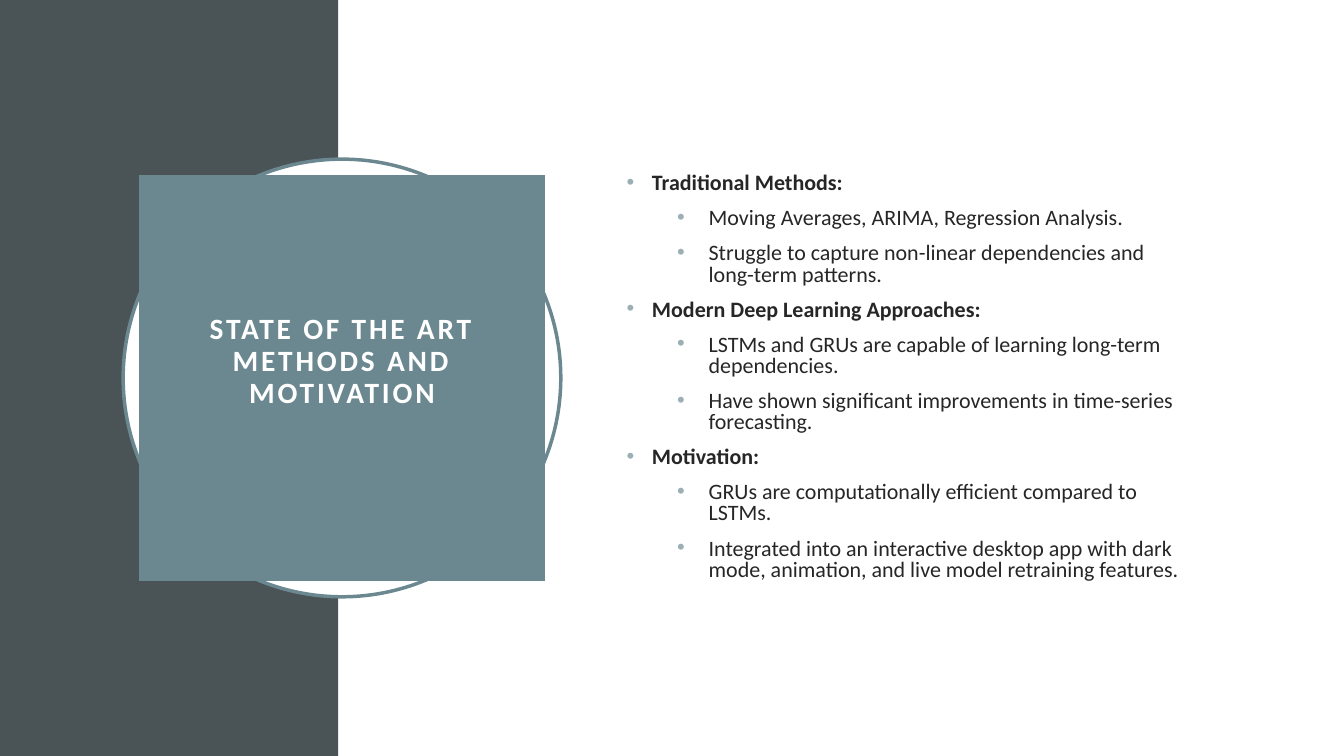
from lxml import etree
from pptx import Presentation
from pptx.dml.color import RGBColor
from pptx.enum.shapes import MSO_SHAPE
from pptx.enum.text import MSO_ANCHOR, PP_ALIGN
from pptx.oxml.ns import qn
from pptx.util import Pt

RECT, OVAL = MSO_SHAPE.RECTANGLE, MSO_SHAPE.OVAL
MIDDLE, CENTER = MSO_ANCHOR.MIDDLE, PP_ALIGN.CENTER

FONT = "Calibri"
COLORS = {
    "slate": "4A5356",
    "teal": "6B8891",
    "bullet": "9BAFB5",
    "text": "262626",
    "white": "FFFFFF",
}
TITLE = "STATE OF THE ART METHODS AND MOTIVATION"
SECTIONS = [
    ("Traditional Methods:", [
        "Moving Averages, ARIMA, Regression Analysis.",
        "Struggle to capture non-linear dependencies and long-term patterns.",
    ]),
    ("Modern Deep Learning Approaches:", [
        "LSTMs and GRUs are capable of learning long-term dependencies.",
        "Have shown significant improvements in time-series forecasting.",
    ]),
    ("Motivation:", [
        "GRUs are computationally efficient compared to LSTMs.",
        "Integrated into an interactive desktop app with dark mode, "
        "animation, and live model retraining features.",
    ]),
]
# Left margin and hanging indent in points, by outline level
INDENTS = [(18, -18), (58.5, -22.5)]


def rgb(name):
    return RGBColor.from_string(COLORS[name])


def add_shape(s, kind, x, y, w, h, fill, line=None):
    sp = s.shapes.add_shape(kind, Pt(x), Pt(y), Pt(w), Pt(h))
    sp.shadow.inherit = False
    sp.fill.solid()
    sp.fill.fore_color.rgb = rgb(fill)
    if line:
        sp.line.color.rgb = rgb(line)
        sp.line.width = Pt(2.5)
    else:
        sp.line.fill.background()
    return sp


def set_font(p, size, color, bold):
    p.font.name = FONT
    p.font.size = Pt(size)
    p.font.bold = bold
    p.font.color.rgb = rgb(color)


def add_title(sp, text):
    tf = sp.text_frame
    tf.word_wrap = True
    tf.vertical_anchor = MIDDLE
    tf.margin_left = tf.margin_right = tf.margin_top = Pt(14.4)
    tf.margin_bottom = Pt(37)  # lifts the title above the middle
    p = tf.paragraphs[0]
    r = p.add_run()
    r.text = text
    r.font._element.set("spc", "200")
    p.alignment = CENTER
    p.line_spacing = 0.9
    set_font(p, 21, "white", True)


def add_bullet(p, level):
    pPr = p._p.get_or_add_pPr()
    margin, indent = INDENTS[level]
    pPr.set("marL", str(Pt(margin)))
    pPr.set("indent", str(Pt(indent)))
    bullet_color = etree.Element(qn("a:buClr"))
    etree.SubElement(bullet_color, qn("a:srgbClr"), val=COLORS["bullet"])
    bullet_font = etree.Element(qn("a:buFont"), typeface="Arial")
    bullet_char = etree.Element(qn("a:buChar"), char="•")
    # Bullet elements must stand before the default run properties
    for element in (bullet_color, bullet_font, bullet_char):
        pPr.find(qn("a:defRPr")).addprevious(element)


def add_outline(s, x, y, w, h, sections):
    tf = s.shapes.add_textbox(Pt(x), Pt(y), Pt(w), Pt(h)).text_frame
    tf.word_wrap = True
    tf.vertical_anchor = MIDDLE
    items = []
    for heading, points in sections:
        items.append((0, heading))
        items += [(1, point) for point in points]
    for i, (level, text) in enumerate(items):
        p = tf.add_paragraph() if i else tf.paragraphs[0]
        p.text = text
        p.level = level
        p.line_spacing = 0.8
        p.space_before = Pt(10)
        set_font(p, 15.7, "text", level == 0)
        add_bullet(p, level)


def main():
    prs = Presentation()
    prs.slide_width, prs.slide_height = Pt(960), Pt(540)
    s = prs.slides.add_slide(prs.slide_layouts[6])

    add_shape(s, RECT, 0, 0, 241.6, 540, "slate")
    add_shape(s, OVAL, 88, 113.7, 312.6, 312.6, "white", "teal")
    square = add_shape(s, RECT, 99.3, 125, 290, 290, "teal")
    add_title(square, TITLE)
    add_outline(s, 440.6, 110.2, 419, 319, SECTIONS)

    prs.save("out.pptx")


if __name__ == "__main__":
    main()
